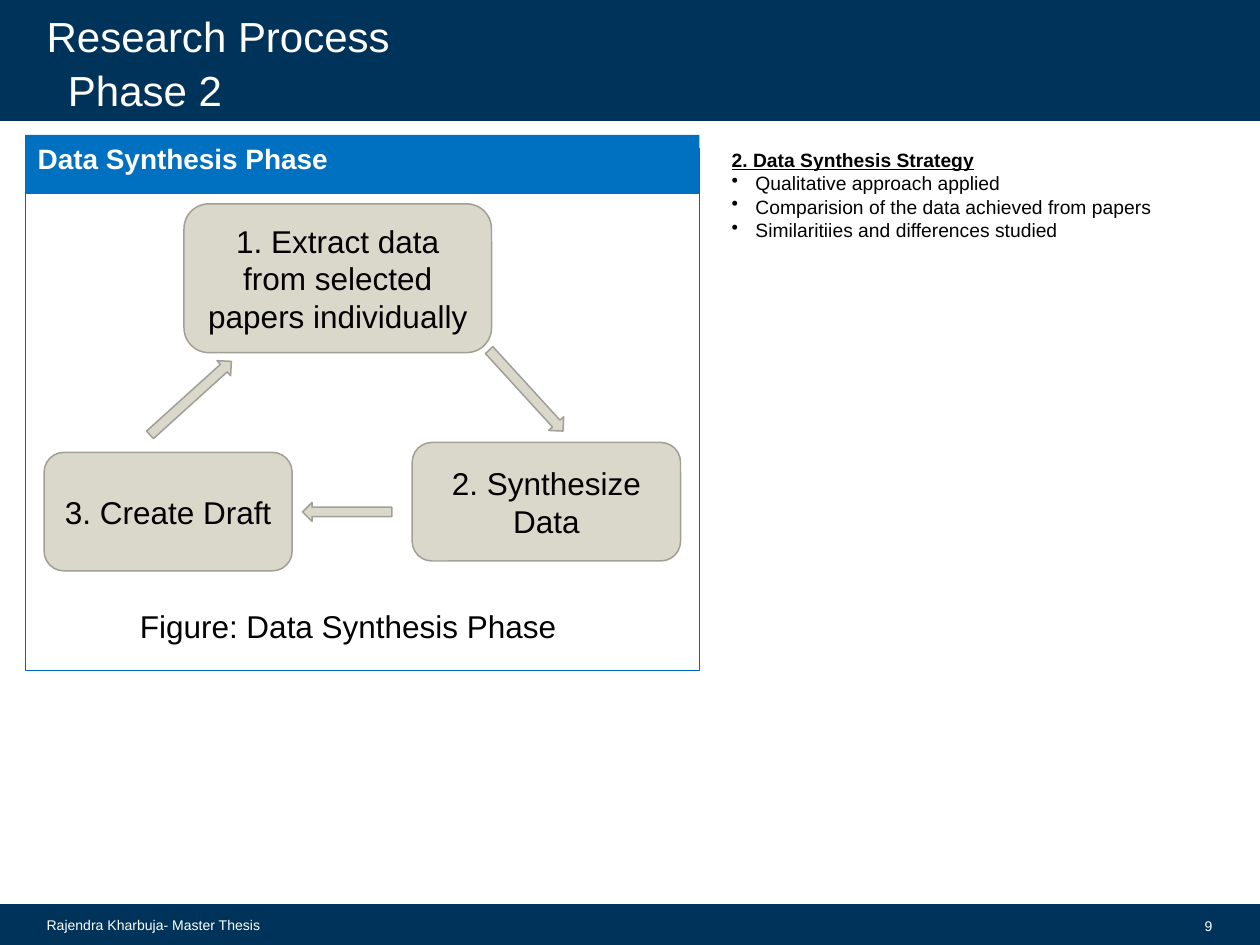
import pptx
import pptx.util
import pptx.dml.color
import pptx.enum.shapes
import pptx.enum.text
import pptx.oxml.ns
import lxml.etree

Cm, Pt = pptx.util.Cm, pptx.util.Pt
SHAPE = pptx.enum.shapes.MSO_SHAPE
ALIGN = pptx.enum.text.PP_ALIGN
ANCHOR = pptx.enum.text.MSO_ANCHOR

COLOURS = {
    "navy": "003359", "blue": "0070C0", "frame": "0065BD",
    "sand": "DAD7CB", "stone": "A19F96", "white": "FFFFFF", "black": "000000",
}


def colour(name):
    return pptx.dml.color.RGBColor.from_string(COLOURS[name])


def add_block(slide, kind, place, fill=None, line=None, width=0.85, rotation=0):
    """Draw a preset shape; place is left, top, width, height in cm."""
    block = slide.shapes.add_shape(kind, *map(Cm, place))
    block.shadow.inherit = False
    block.rotation = rotation
    if fill:
        block.fill.solid()
        block.fill.fore_color.rgb = colour(fill)
    else:
        block.fill.background()
    if line:
        block.line.color.rgb = colour(line)
        block.line.width = Pt(width)
    else:
        block.line.fill.background()
    return block


def write(paragraph, text, size, ink="black", align=ALIGN.LEFT, **style):
    paragraph.alignment = align
    run = paragraph.add_run()
    run.text = text
    font_format = {"name": "Arial", "size": Pt(size), **style}
    for attribute, value in font_format.items():
        setattr(run.font, attribute, value)
    run.font.color.rgb = colour(ink)


def set_frame(shape, **frame_format):
    for attribute, value in {"word_wrap": True, **frame_format}.items():
        setattr(shape.text_frame, attribute, value)
    return shape.text_frame


def add_label(slide, place, text, size, ink="black", align=ALIGN.LEFT, **frame_format):
    label = slide.shapes.add_textbox(*map(Cm, place))
    frame = set_frame(label, **frame_format)
    write(frame.paragraphs[0], text, size, ink, align)


def add_bullet(frame, text, size):
    paragraph = frame.add_paragraph()
    write(paragraph, text, size)
    properties = paragraph._p.get_or_add_pPr()
    indent = Cm(0.48)
    properties.set("marL", str(indent))
    properties.set("indent", str(-indent))
    bullet = lxml.etree.SubElement(properties, pptx.oxml.ns.qn("a:buChar"))
    bullet.set("char", "•")


def add_bands(slide):
    for top, height in ((18.24, 0.81), (0, 2.41)):
        add_block(slide, SHAPE.RECTANGLE, (0, top, 25.4, height), "navy", "navy", 1.35)

    title_format = {"vertical_anchor": ANCHOR.BOTTOM, "margin_top": 0, "margin_bottom": 0}
    for left, top, text in ((0.69, 0.23, "Research Process"), (1.12, 1.32, "Phase 2")):
        add_label(slide, (left, top, 20.93, 0.99), text, 24, "white", **title_format)

    middle = {"vertical_anchor": ANCHOR.MIDDLE}
    add_label(slide, (0.69, 18.24, 5.41, 0.81), "Rajendra Kharbuja- Master Thesis",
              8, "white", **middle)
    add_label(slide, (23.2, 18.26, 1.49, 0.81), "9", 8, "white", ALIGN.RIGHT, **middle)


def add_synthesis_cycle(slide):
    # Steps
    steps = (
        ("1. Extract data from selected papers individually", (3.71, 4.11, 6.2, 3)),
        ("2. Synthesize Data", (8.31, 8.92, 5.41, 2.39)),
        ("3. Create Draft", (0.89, 9.12, 5, 2.39)),
    )
    for text, place in steps:
        step = add_block(slide, SHAPE.ROUNDED_RECTANGLE, place, "sand", "stone")
        frame = set_frame(step, vertical_anchor=ANCHOR.MIDDLE)
        write(frame.paragraphs[0], text, 18, align=ALIGN.CENTER)

    # Arrows from each step to the next
    arrows = (
        ((9.5, 7.67, 2.21, 0.41), 47.6),
        ((6.1, 10.13, 1.8, 0.38), 180),
        ((2.74, 7.82, 2.21, 0.41), 317.9),
    )
    for place, rotation in arrows:
        add_block(slide, SHAPE.RIGHT_ARROW, place, "sand", "stone", rotation=rotation)

    add_label(slide, (2.57, 12.12, 9.35, 1.02), "Figure: Data Synthesis Phase", 18)


def add_panel(slide):
    add_block(slide, SHAPE.RECTANGLE, (0.51, 3, 13.59, 10.52), line="frame", width=0.75)
    heading = add_block(slide, SHAPE.RECTANGLE, (0.51, 2.72, 13.59, 1.19), "blue")
    frame = set_frame(heading, vertical_anchor=ANCHOR.TOP)
    write(frame.paragraphs[0], "Data Synthesis Phase", 16, "white", bold=True)


def add_strategy(slide):
    strategy = slide.shapes.add_textbox(Cm(14.5), Cm(2.87), Cm(9.6), Cm(3.1))
    frame = set_frame(strategy)
    write(frame.paragraphs[0], "2. Data Synthesis Strategy", 11, bold=True, underline=True)
    for text in ("Qualitative approach applied",
                 "Comparision of the data achieved from papers",
                 "Similaritiies and differences studied"):
        add_bullet(frame, text, 11)


def main():
    deck = pptx.Presentation()
    deck.slide_width, deck.slide_height = Cm(25.4), Cm(19.05)
    slide = deck.slides.add_slide(deck.slide_layouts[6])
    add_bands(slide)
    add_panel(slide)
    add_synthesis_cycle(slide)
    add_strategy(slide)
    deck.save("out.pptx")


if __name__ == "__main__":
    main()
